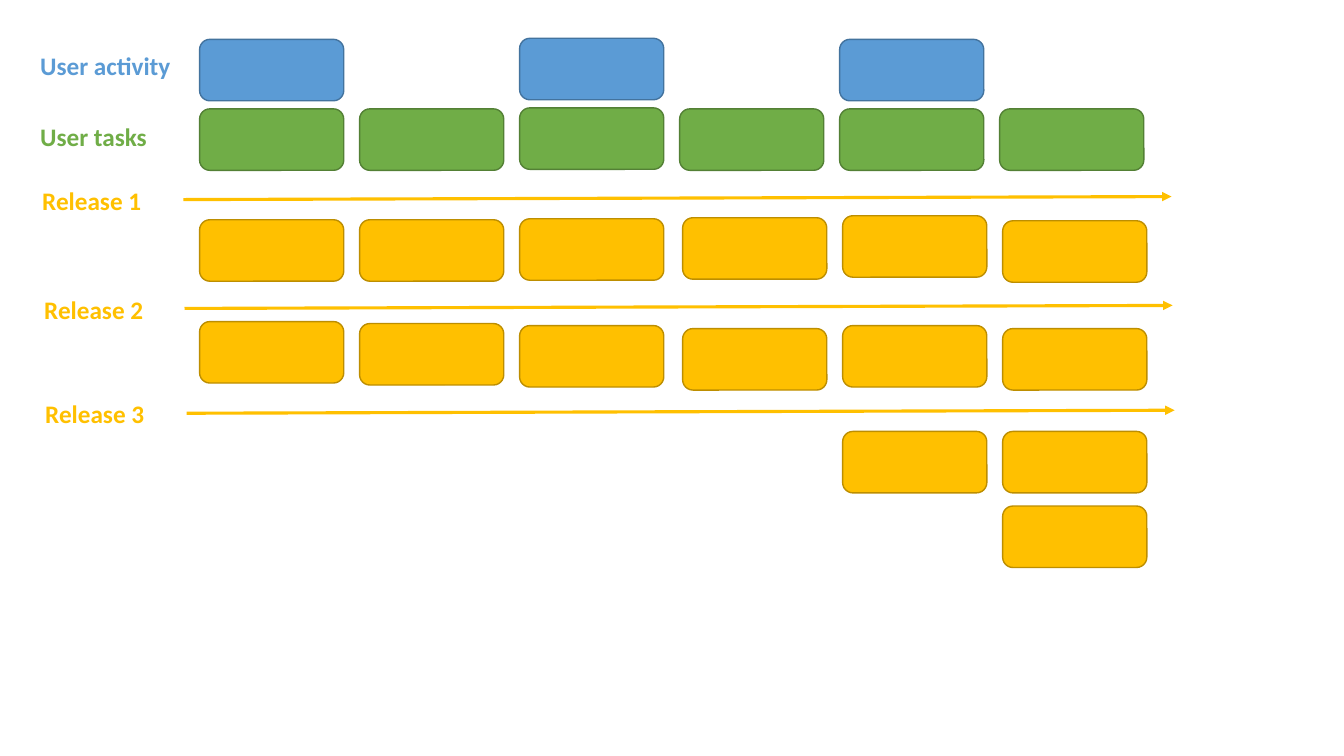
from lxml.etree import SubElement
from pptx import Presentation
from pptx.dml.color import RGBColor
from pptx.enum.shapes import MSO_CONNECTOR as Connector, MSO_SHAPE as Shape
from pptx.enum.text import MSO_AUTO_SIZE as AutoSize
from pptx.oxml.ns import qn
from pptx.util import Inches, Pt

BLUE, GREEN, GOLD = "5B9BD5", "70AD47", "FFC000"
OUTLINES = {BLUE: "43739E", GREEN: "538035", GOLD: "BD8E00"}

LABELS = [
    ("User activity", 0.3, 0.45, 1.51, BLUE),
    ("User tasks", 0.3, 1.15, 1.27, GREEN),
    ("Release 1", 0.32, 1.79, 1.19, GOLD),
    ("Release 2", 0.34, 2.87, 1.19, GOLD),
    ("Release 3", 0.35, 3.9, 1.19, GOLD),
]
CARD_ROWS = [
    (BLUE, {0: 0.39, 2: 0.38, 4: 0.39}),
    (GREEN, {0: 1.08, 1: 1.08, 2: 1.07, 3: 1.08, 4: 1.08, 5: 1.08}),
    (GOLD, {0: 2.18, 1: 2.18, 2: 2.17, 3: 2.16, 4: 2.14, 5: 2.19}),
    (GOLD, {0: 3.19, 1: 3.21, 2: 3.23, 3: 3.26, 4: 3.23, 5: 3.26}),
    (GOLD, {4: 4.28, 5: 4.28}),
    (GOLD, {5: 5.02}),
]
ARROW_STARTS = [(1.82, 1.98), (1.83, 3.06), (1.85, 4.1)]

FIRST_LEFT, COLUMN_STEP = 1.98, 1.587
CARD_WIDTH, CARD_HEIGHT = 1.43, 0.61
RELEASE_SHIFT, SHIFTED_FROM = 0.03, 3
ARROW_LENGTH, ARROW_RISE = 9.8, 0.03
LABEL_HEIGHT = 0.4


def color(value):
    return RGBColor.from_string(value)


def add_card(page, column, top, fill):
    left = FIRST_LEFT + column * COLUMN_STEP
    if fill == GOLD and column >= SHIFTED_FROM:
        left += RELEASE_SHIFT
    card = page.shapes.add_shape(
        Shape.ROUNDED_RECTANGLE, Inches(left), Inches(top),
        Inches(CARD_WIDTH), Inches(CARD_HEIGHT))
    card.shadow.inherit = False
    card.fill.solid()
    card.fill.fore_color.rgb = color(fill)
    card.line.color.rgb = color(OUTLINES[fill])
    card.line.width = Pt(1)


def add_label(page, text, left, top, width, ink):
    box = page.shapes.add_textbox(
        Inches(left), Inches(top), Inches(width), Inches(LABEL_HEIGHT))
    frame = box.text_frame
    frame.word_wrap = False
    frame.auto_size = AutoSize.SHAPE_TO_FIT_TEXT
    para = frame.paragraphs[0]
    para.text = text
    para.font.name = "Calibri"
    para.font.size = Pt(18)
    para.font.bold = True
    para.font.color.rgb = color(ink)


def add_arrow(page, left, top):
    arrow = page.shapes.add_connector(
        Connector.STRAIGHT, Inches(left), Inches(top),
        Inches(left + ARROW_LENGTH), Inches(top - ARROW_RISE))
    arrow.line.color.rgb = color(GOLD)
    arrow.line.width = Pt(2.25)
    properties = arrow.element.spPr
    SubElement(properties.find(qn("a:ln")), qn("a:tailEnd"), type="triangle")
    SubElement(properties, qn("a:effectLst"))


def main():
    deck = Presentation()
    deck.slide_width, deck.slide_height = Inches(13.33), Inches(7.5)
    page = deck.slides.add_slide(deck.slide_layouts[6])
    for fill, tops in CARD_ROWS:
        for column, top in tops.items():
            add_card(page, column, top, fill)
    for label in LABELS:
        add_label(page, *label)
    for start in ARROW_STARTS:
        add_arrow(page, *start)
    deck.save("out.pptx")


if __name__ == "__main__":
    main()
